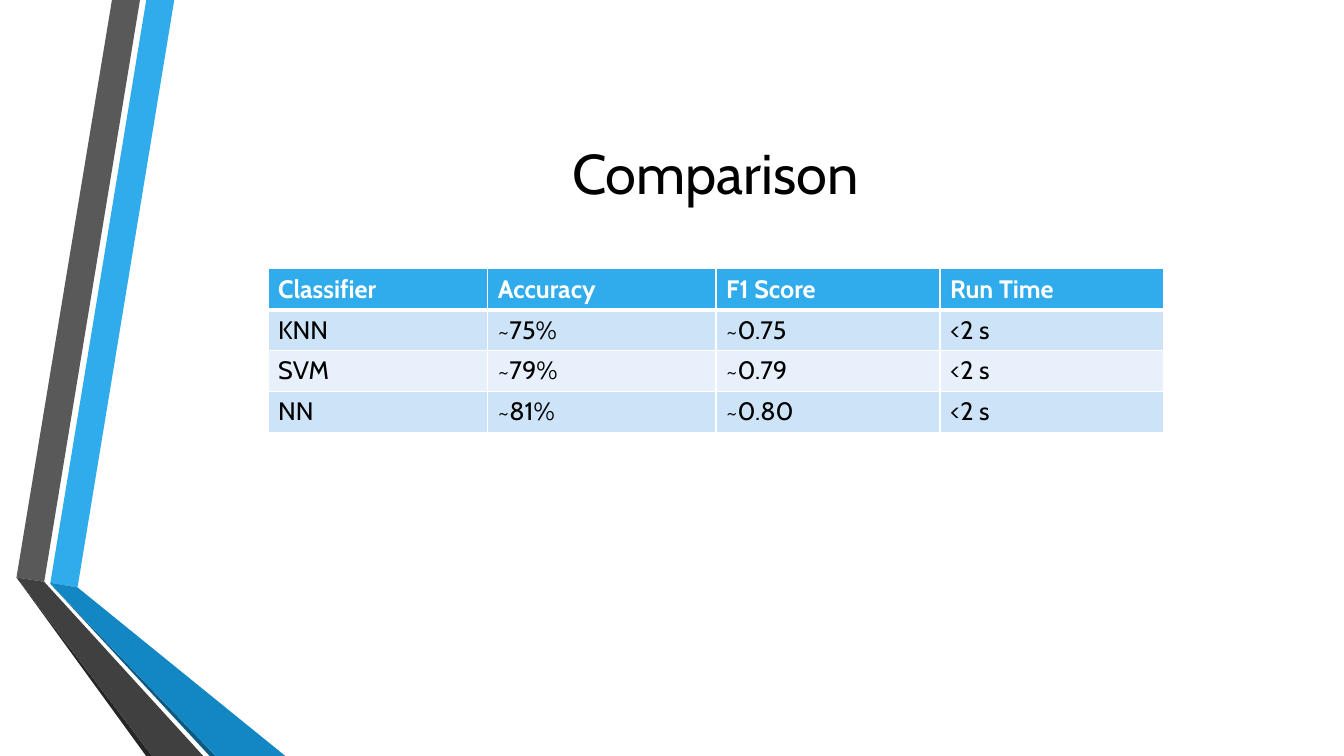
from lxml import etree
from pptx import Presentation
from pptx.dml.color import RGBColor as Color
from pptx.enum.text import MSO_ANCHOR as Anchor, PP_ALIGN as Align
from pptx.oxml.ns import qn
from pptx.util import Pt

FONT = "Cabin"
COLORS = {
    "white": "FFFFFF", "black": "000000",
    "blue": "30ACEC", "blue_fold": "1287C3", "blue_edge": "0C5A82",
    "gray": "595959", "gray_fold": "404040", "gray_edge": "262626",
    "band_dark": "CDE3F8", "band_light": "E8F1FB",
}
# Ribbon pieces from back to front, as points relative to their box
RIBBONS = [
    ("blue", [(36, 416.3), (55.4, 419.6), (124.5, 0), (104.5, 0)]),
    ("gray", [(100, 0), (80, 0), (11.8, 412.5), (31.6, 415.6)]),
    ("gray_edge", [(11.8, 412.5), (104.4, 540), (108.7, 540)]),
    ("blue_edge", [(36, 417), (149.8, 540), (154.1, 540)]),
    ("blue_fold", [(36, 416.3), (36, 417), (154.1, 540), (203.8, 540), (55.4, 419.6)]),
    ("gray_fold", [(145.2, 540), (31.6, 415.6), (11.8, 412.5), (108.7, 540)]),
]
RESULTS = [
    ("Classifier", "Accuracy", "F1 Score", "Run Time"),
    ("KNN", "~75%", "~0.75", "<2 s"),
    ("SVM", "~79%", "~0.79", "<2 s"),
    ("NN", "~81%", "~0.80", "<2 s"),
]
COLUMN_SHARES = (157, 163, 160, 160)


def color(name):
    return Color.from_string(COLORS[name])


def format_runs(para, size, color_name, bold=False):
    for span in para.runs:
        span.font.name = FONT
        span.font.size = Pt(size)
        span.font.bold = bold
        span.font.color.rgb = color(color_name)


def add_ribbons(page, box):
    left, top = box[:2]
    for color_name, corners in RIBBONS:
        points = [(Pt(left + x), Pt(top + y)) for x, y in corners]
        outline = page.shapes.build_freeform(*points[0], scale=1.0)
        outline.add_line_segments(points[1:], close=True)
        ribbon = outline.convert_to_shape()
        ribbon.shadow.inherit = False
        ribbon.fill.solid()
        ribbon.fill.fore_color.rgb = color(color_name)
        ribbon.line.fill.background()


def place_title(page, box, text):
    title = page.shapes.title
    title.left, title.top, title.width, title.height = map(Pt, box)
    frame = title.text_frame
    frame.text = text
    frame.vertical_anchor = Anchor.MIDDLE
    para = frame.paragraphs[0]
    para.alignment = Align.CENTER
    format_runs(para, 40, "black")


def set_borders(cell, widths):
    """Draw white borders; widths maps each side (L, R, T, B) to points."""
    properties = cell._tc.get_or_add_tcPr()
    for index, (side, width) in enumerate(widths.items()):
        line = etree.Element(qn(f"a:ln{side}"), w=str(Pt(width)))
        fill = etree.SubElement(line, qn("a:solidFill"))
        etree.SubElement(fill, qn("a:srgbClr"), val=COLORS["white"])
        properties.insert(index, line)


def add_results(page, box):
    left, top, width, height = box
    table = page.shapes.add_table(len(RESULTS), len(COLUMN_SHARES), *map(Pt, box)).table
    for column, share in zip(table.columns, COLUMN_SHARES):
        column.width = Pt(width * share / sum(COLUMN_SHARES))
    for row_index, values in enumerate(RESULTS):
        header = row_index == 0
        band = "blue" if header else ("band_light", "band_dark")[row_index % 2]
        table.rows[row_index].height = Pt(height / len(RESULTS))
        for column_index, value in enumerate(values):
            cell = table.cell(row_index, column_index)
            cell.text_frame.text = value
            format_runs(cell.text_frame.paragraphs[0], 18,
                        "white" if header else "black", header)
            cell.fill.solid()
            cell.fill.fore_color.rgb = color(band)
            # A thicker line parts the header from the body
            set_borders(cell, {"L": 1, "R": 1, "T": 3 if row_index == 1 else 1,
                               "B": 3 if header else 1})


def build_comparison(deck, box):
    left, top, width, height = box
    page = deck.slides.add_slide(deck.slide_layouts[5])
    page.background.fill.solid()
    page.background.fill.fore_color.rgb = color("white")
    add_ribbons(page, box)
    place_title(page, (left + 116.6, top + 54, 789, 138), "Comparison")
    add_results(page, (left + 191.5, top + 192, 640, 116.8))


deck = Presentation()
deck.slide_width, deck.slide_height = Pt(960), Pt(540)
build_comparison(deck, (0, 0, 960, 540))
deck.save("out.pptx")
